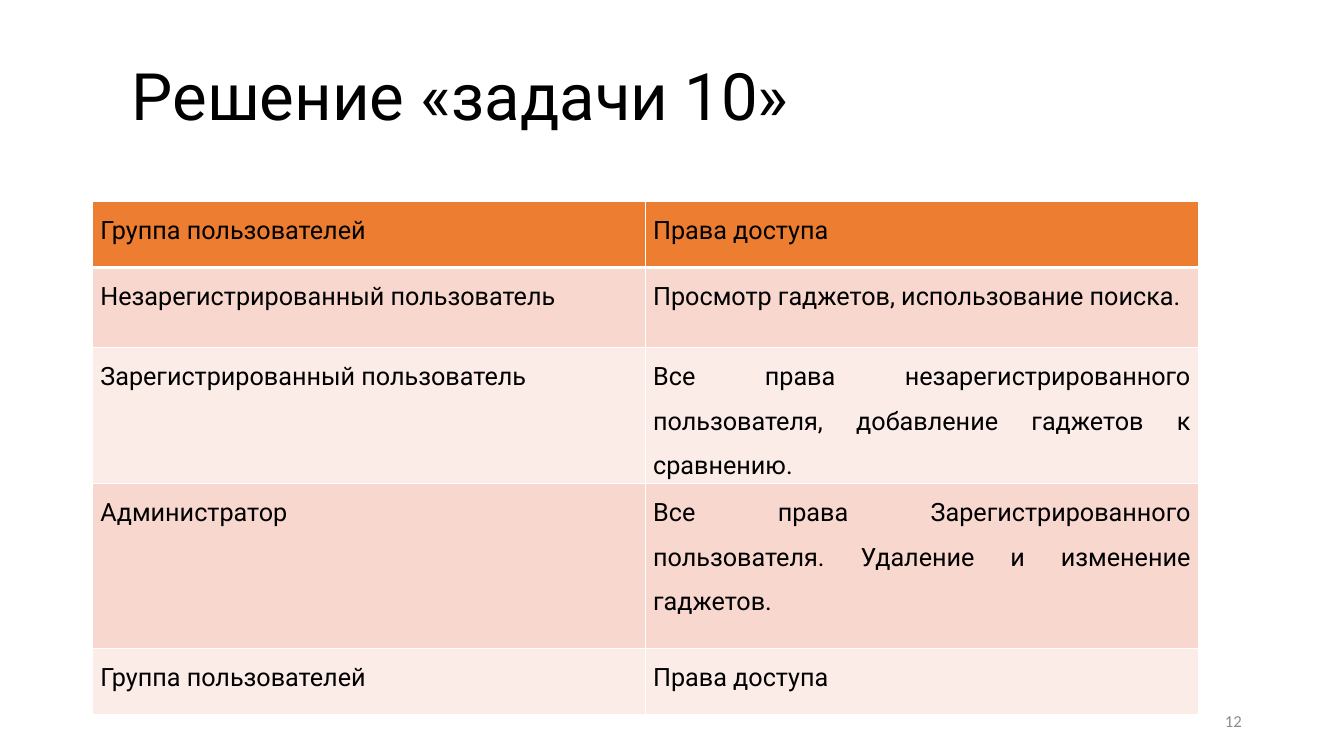
from lxml.etree import SubElement
from pptx import Presentation
from pptx.dml.color import RGBColor
from pptx.enum.text import MSO_ANCHOR as Anchor, PP_ALIGN as Align
from pptx.oxml.ns import qn
from pptx.util import Cm, Pt

BLACK = RGBColor(0x00, 0x00, 0x00)
WHITE = RGBColor(0xFF, 0xFF, 0xFF)
GRAY = RGBColor(0x8C, 0x8C, 0x8C)
ORANGE = RGBColor(0xED, 0x7D, 0x31)
PEACH = RGBColor(0xF8, 0xD7, 0xCE)
PALE_PEACH = RGBColor(0xFC, 0xEC, 0xE8)

TITLE = "Решение «задачи 10»"
PAGE_NUMBER = "12"
ACCESS_RIGHTS = [
    ("Группа пользователей", "Права доступа"),
    ("Незарегистрированный пользователь",
     "Просмотр гаджетов, использование поиска."),
    ("Зарегистрированный пользователь",
     "Все права незарегистрированного пользователя, "
     "добавление гаджетов к сравнению."),
    ("Администратор",
     "Все права Зарегистрированного пользователя. "
     "Удаление и изменение гаджетов."),
    ("Группа пользователей", "Права доступа"),
]
ROW_HEIGHTS = [1.66, 2.02, 3.35, 4.16, 1.66]
COLUMN_WIDTH = 13.93
TABLE_LEFT, TABLE_TOP = 2.34, 5.08

TITLE_FONT = {"name": "Roboto", "size": Pt(46.7)}
CELL_FONT = {"name": "Roboto", "size": Pt(18)}
NUMBER_FONT = {"name": "Calibri", "size": Pt(12)}
CELL_FORMAT = {"margin_left": Cm(0.19), "margin_right": Cm(0.19),
               "margin_top": 0, "margin_bottom": 0}


def write(frame, text, font, color, align, line_spacing):
    paragraph = frame.paragraphs[0]
    paragraph.alignment = align
    paragraph.line_spacing = line_spacing
    run = paragraph.add_run()
    run.text = text
    for key, value in font.items():
        setattr(run.font, key, value)
    run.font.color.rgb = color


def add_label(slide, box, *text_format):
    frame = slide.shapes.add_textbox(*map(Cm, box)).text_frame
    frame.word_wrap = True
    frame.vertical_anchor = Anchor.MIDDLE
    write(frame, *text_format)


def set_borders(cell, bottom_width):
    """Draw white cell borders; must run before the cell fill is set."""
    properties = cell._tc.get_or_add_tcPr()
    for side, width in (("L", 1), ("R", 1), ("T", 1), ("B", bottom_width)):
        line = SubElement(properties, qn(f"a:ln{side}"), w=str(Pt(width)))
        fill = SubElement(line, qn("a:solidFill"))
        SubElement(fill, qn("a:srgbClr"), val=str(WHITE))


def add_rights_table(slide):
    columns = len(ACCESS_RIGHTS[0])
    table = slide.shapes.add_table(
        len(ACCESS_RIGHTS), columns, Cm(TABLE_LEFT), Cm(TABLE_TOP),
        Cm(COLUMN_WIDTH * columns), Cm(sum(ROW_HEIGHTS))).table
    for column in table.columns:
        column.width = Cm(COLUMN_WIDTH)
    for r, (rights, height) in enumerate(zip(ACCESS_RIGHTS, ROW_HEIGHTS)):
        table.rows[r].height = Cm(height)
        band = ORANGE if r == 0 else PEACH if r % 2 else PALE_PEACH
        for c, text in enumerate(rights):
            cell = table.cell(r, c)
            for key, value in CELL_FORMAT.items():
                setattr(cell, key, value)
            set_borders(cell, bottom_width=3 if r == 0 else 1)
            cell.fill.solid()
            cell.fill.fore_color.rgb = band
            write(cell.text_frame, text, CELL_FONT, BLACK, Align.JUSTIFY, 1.5)


def main():
    deck = Presentation()
    deck.slide_width, deck.slide_height = Cm(33.87), Cm(19.05)
    slide = deck.slides.add_slide(deck.slide_layouts[6])
    add_label(slide, (3.07, 1.35, 30.23, 2.31),
              TITLE, TITLE_FONT, BLACK, Align.LEFT, 0.9)
    add_label(slide, (23.93, 17.65, 7.62, 1.02),
              PAGE_NUMBER, NUMBER_FONT, GRAY, Align.RIGHT, 1.0)
    add_rights_table(slide)
    deck.save("out.pptx")


if __name__ == "__main__":
    main()
